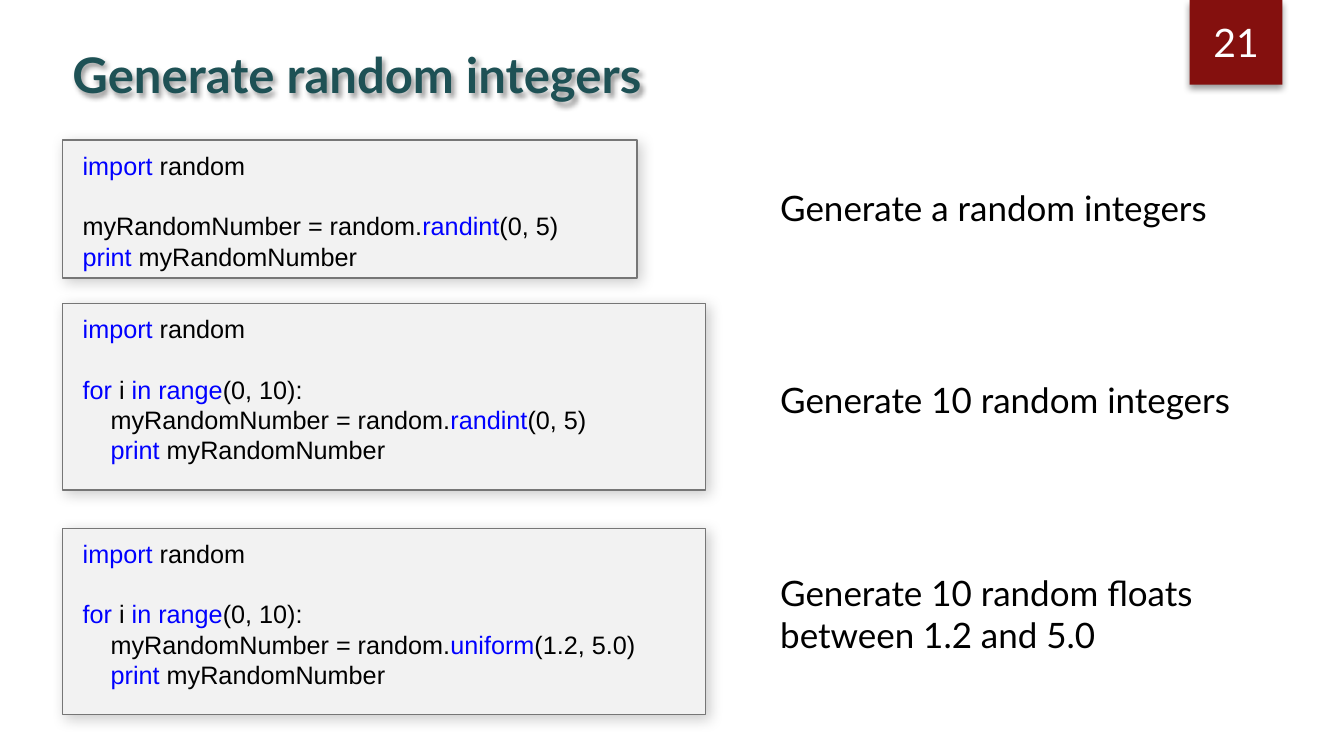
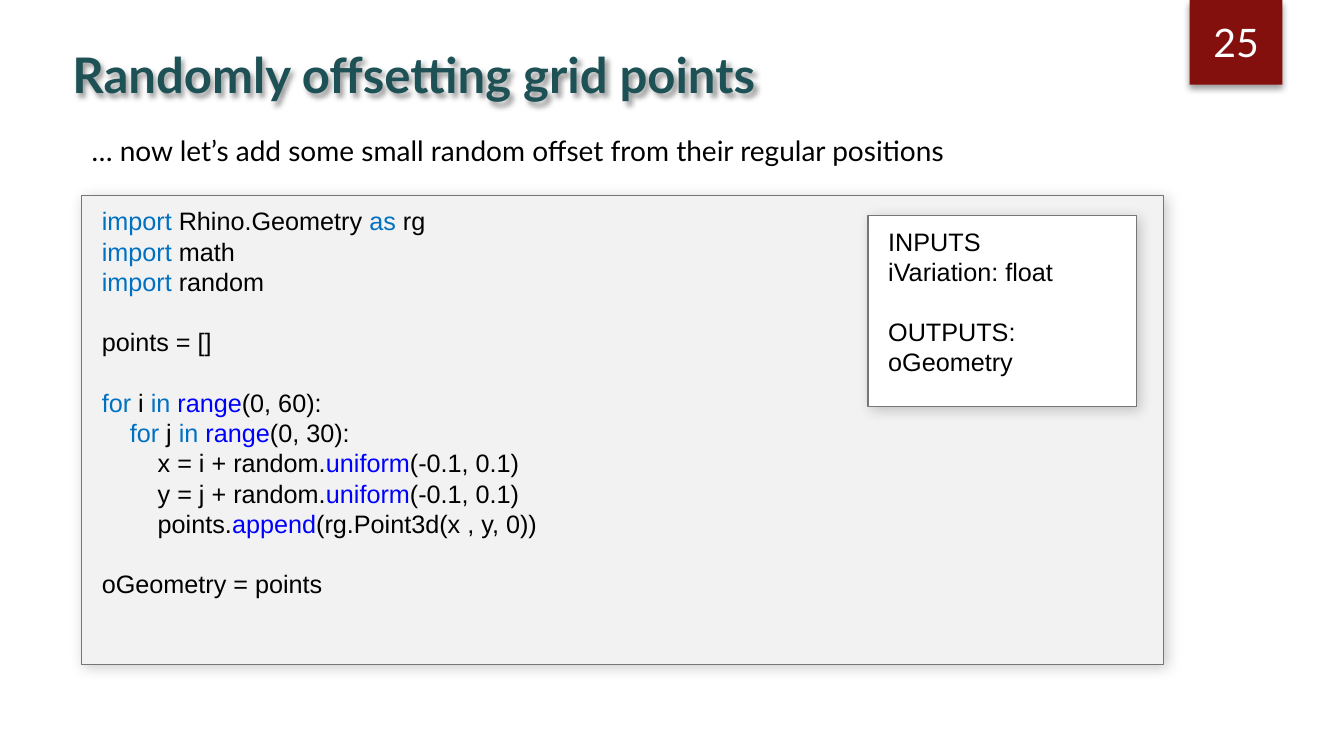
from dataclasses import dataclass
from itertools import groupby

from pptx import Presentation
from pptx import util as u
from pptx.dml.color import RGBColor
from pptx.enum import shapes, text
from pptx.oxml import ns, xmlchemy


@dataclass(frozen=True)
class Theme:
    """Colours, fonts and type sizes shared by all slides."""

    heading: str = "1E5155"
    badge: str = "84100E"
    panel: str = "F2F2F2"
    border: str = "767676"
    black: str = "000000"
    white: str = "FFFFFF"
    blue: str = "0000FF"
    light_blue: str = "0070C0"
    body_font: str = "Lato"
    code_font: str = "Arial"
    title_size: float = 35
    badge_size: float = 28
    label_size: float = 25
    intro_size: float = 20
    code_size: float = 18
    code_line: float = 21.6


KEYWORDS = {"import", "as", "for", "in", "print"}
FUNCTIONS = {"range", "randint", "uniform", "append"}


class Deck:
    """Draws the elements of the lecture on the current slide."""

    def __init__(self, theme):
        """Open an empty widescreen presentation."""
        self.theme = theme
        self.presentation = Presentation()
        self.presentation.slide_width = u.Inches(13.33)
        self.presentation.slide_height = u.Inches(7.5)
        self.slide = None

    def start(self, title, number):
        """Add a slide with its title and number badge."""
        theme = self.theme
        self.slide = self.presentation.slides.add_slide(self.presentation.slide_layouts[6])
        heading = self.label([title], 0.62, 0.39, 10.92, 0.64, theme.title_size, theme.heading, bold=True)
        self.shadow(heading, alpha=40, blur=4, distance=3, angle=45)
        badge = self.box(11.8, 0, 0.92, 0.84, theme.badge)
        self.shadow(badge, alpha=40, blur=5, distance=3, angle=90)
        badge.text_frame.vertical_anchor = text.MSO_ANCHOR.MIDDLE
        paragraph = badge.text_frame.paragraphs[0]
        paragraph.text = str(number)
        paragraph.alignment = text.PP_ALIGN.CENTER
        self.style(paragraph.font, theme.body_font, theme.badge_size, theme.white)

    def style(self, font, name, size, color, bold=False):
        """Set the look of a font."""
        font.name = name
        font.size = u.Pt(size)
        font.bold = bold
        font.color.rgb = RGBColor.from_string(color)

    def shadow(self, shape, alpha, blur, distance, angle):
        """Give a shape a soft black outer shadow."""
        shape.shadow.inherit = False
        effects = shape.element.spPr.find(ns.qn("a:effectLst"))
        outer = xmlchemy.OxmlElement("a:outerShdw")
        outer.set("blurRad", str(u.Pt(blur)))
        outer.set("dist", str(u.Pt(distance)))
        outer.set("dir", str(angle * 60000))
        outer.set("algn", "ctr")
        outer.set("rotWithShape", "0")
        color = xmlchemy.OxmlElement("a:srgbClr")
        color.set("val", self.theme.black)
        opacity = xmlchemy.OxmlElement("a:alpha")
        opacity.set("val", str(alpha * 1000))
        color.append(opacity)
        outer.append(color)
        effects.append(outer)

    def box(self, left, top, width, height, fill, line=None):
        """Add a filled rectangle with an optional outline."""
        shape = self.slide.shapes.add_shape(
            shapes.MSO_SHAPE.RECTANGLE, u.Inches(left), u.Inches(top), u.Inches(width), u.Inches(height))
        shape.fill.solid()
        shape.fill.fore_color.rgb = RGBColor.from_string(fill)
        if line:
            shape.line.color.rgb = RGBColor.from_string(line)
            shape.line.width = u.Pt(1)
        else:
            shape.line.fill.background()
        return shape

    def label(self, lines, left, top, width, height, size, color=None, bold=False, wrap=True):
        """Add plain text, one paragraph a line."""
        shape = self.slide.shapes.add_textbox(
            u.Inches(left), u.Inches(top), u.Inches(width), u.Inches(height))
        frame = shape.text_frame
        frame.word_wrap = wrap
        frame.text = "\n".join(lines)
        for paragraph in frame.paragraphs:
            self.style(paragraph.font, self.theme.body_font, size, color or self.theme.black, bold)
        return shape

    def code(self, source, left, top, width, height, keyword=None, fill=None):
        """Add a code panel with coloured keywords and function names."""
        theme = self.theme
        panel = self.box(left, top, width, height, fill or theme.panel, theme.border)
        self.shadow(panel, alpha=20, blur=10, distance=3, angle=45)
        frame = panel.text_frame
        frame.word_wrap = True
        frame.vertical_anchor = text.MSO_ANCHOR.TOP
        frame.margin_left = frame.margin_right = u.Inches(0.2)
        frame.margin_top = frame.margin_bottom = u.Inches(0.1)
        paragraph, gap = frame.paragraphs[0], 0
        for index, line in enumerate(source.strip().split("\n")):
            if not line:
                gap += theme.code_line
                continue
            if index:
                paragraph = frame.add_paragraph()
            paragraph.alignment = text.PP_ALIGN.LEFT
            paragraph.line_spacing = u.Pt(theme.code_line)
            if gap:
                paragraph.space_before = u.Pt(gap)
                gap = 0
            self.style(paragraph.font, theme.code_font, theme.code_size, theme.black)
            for color, piece in self.color_runs(line, keyword or theme.blue):
                run = paragraph.add_run()
                run.text = piece
                run.font.color.rgb = RGBColor.from_string(color)

    def color_runs(self, line, keyword):
        """Split a code line into stretches of one colour."""
        words = ["".join(group) for _, group in groupby(line, str.isalnum)]

        def color_of(word):
            """Choose the colour of one word."""
            if word in KEYWORDS:
                return keyword
            return self.theme.blue if word in FUNCTIONS else self.theme.black

        return [(color, "".join(group)) for color, group in groupby(words, color_of)]


SINGLE_INTEGER = """
import random

myRandomNumber = random.randint(0, 5)
print myRandomNumber
"""

TEN_NUMBERS = """
import random

for i in range(0, 10):
    myRandomNumber = random.CALL
    print myRandomNumber
"""

GRID_OFFSET = """
import Rhino.Geometry as rg
import math
import random

points = []

for i in range(0, 60):
    for j in range(0, 30):
        x = i + random.uniform(-0.1, 0.1)
        y = j + random.uniform(-0.1, 0.1)
        points.append(rg.Point3d(x , y, 0))

oGeometry = points
"""

GRID_PORTS = """
INPUTS
iVariation: float

OUTPUTS:
oGeometry
"""


def main():
    """Build both slides and save them."""
    theme = Theme()
    deck = Deck(theme)

    deck.start("Generate random integers", 21)
    examples = [
        (SINGLE_INTEGER, 1.39, 5.7, 1.37, ["Generate a random integers"]),
        (TEN_NUMBERS.replace("CALL", "randint(0, 5)"), 3.01, 6.38, 1.85, ["Generate 10 random integers"]),
        (TEN_NUMBERS.replace("CALL", "uniform(1.2, 5.0)"), 5.24, 6.38, 1.85,
         ["Generate 10 random floats", "between 1.2 and 5.0"]),
    ]
    for index, (source, top, width, height, caption) in enumerate(examples):
        deck.code(source, 0.62, top, width, height)
        deck.label(caption, 7.64, 1.8 + 1.91 * index, 5.39, 1.2, theme.label_size)

    deck.start("Randomly offsetting grid points", 25)
    deck.code(GRID_OFFSET, 0.81, 1.94, 10.73, 4.65, keyword=theme.light_blue)
    deck.code(GRID_PORTS, 8.61, 2.14, 2.66, 1.89, fill=theme.white)
    deck.label(["… now let’s add some small random offset from their regular positions"],
               0.81, 1.28, 8.79, 0.44, theme.intro_size, wrap=False)

    deck.presentation.save("out.pptx")


if __name__ == "__main__":
    main()
